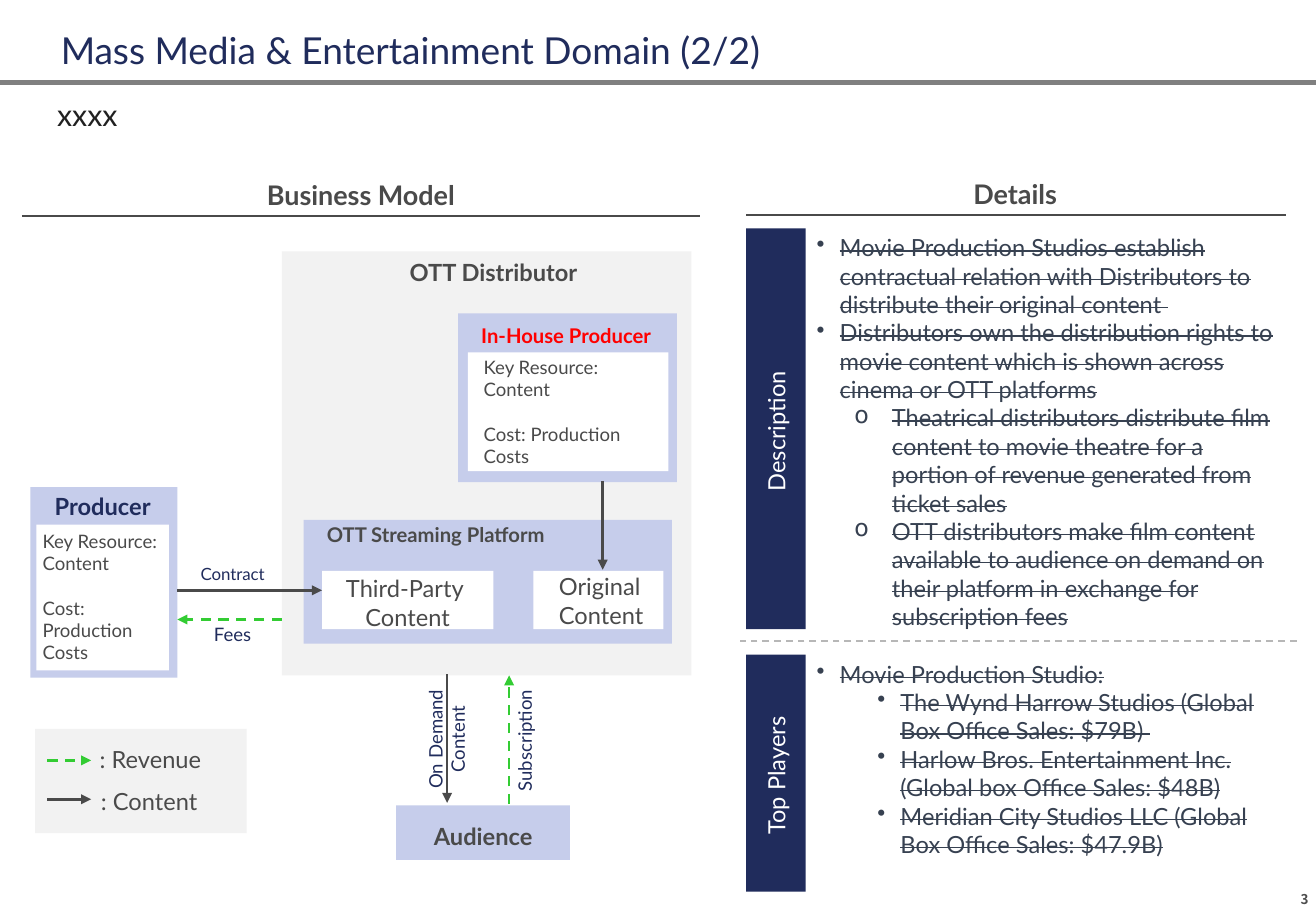
from dataclasses import dataclass

from lxml import etree
from pptx import Presentation
from pptx.dml.color import RGBColor
from pptx.enum.dml import MSO_LINE
from pptx.enum.shapes import MSO_CONNECTOR, MSO_SHAPE
from pptx.enum.text import MSO_ANCHOR, MSO_AUTO_SIZE, PP_ALIGN
from pptx.oxml.ns import qn
from pptx.util import Inches, Pt

RECTANGLE = MSO_SHAPE.RECTANGLE
STRAIGHT = MSO_CONNECTOR.STRAIGHT
DASH = MSO_LINE.DASH
TOP, MIDDLE, BOTTOM = MSO_ANCHOR.TOP, MSO_ANCHOR.MIDDLE, MSO_ANCHOR.BOTTOM
LEFT, CENTER, RIGHT = PP_ALIGN.LEFT, PP_ALIGN.CENTER, PP_ALIGN.RIGHT
NO_FIT = MSO_AUTO_SIZE.NONE

COLORS = {
    "navy": "202C5C", "lavender": "C6CDEB", "mist": "F2F2F2", "white": "FFFFFF",
    "ink": "4A4A4A", "slate": "374151", "black": "212121", "red": "FF0000",
    "green": "33CC33", "rule": "808080", "divider": "B7B7B7", "number": "4D4D4D",
}
FONT = "Lato"
TIGHT = (0.04, 0.04, 0.04, 0)
EVEN = (0.04, 0.04, 0.04, 0.04)
RESOURCES = ("Key Resource: Content", "Cost: Production Costs")


@dataclass(frozen=True)
class Block:
    left: float
    top: float
    width: float
    height: float
    lines: tuple[str, ...] = ()
    size: float = 14
    color: str = "ink"
    bold: bool = False
    fill: str = ""
    align: PP_ALIGN = LEFT
    anchor: MSO_ANCHOR = TOP
    insets: tuple[float, ...] = TIGHT
    wrap: bool = True
    font: str = FONT
    gap: float = 0
    spacing: float = 1.0
    rotation: float = 0
    vertical: bool = False


@dataclass(frozen=True)
class Line:
    start: tuple[float, float]
    end: tuple[float, float]
    color: str = "ink"
    width: float = 1.5
    dashed: bool = False
    arrow: bool = True


@dataclass(frozen=True)
class Bullet:
    text: str
    mark: str = "•"
    level: int = 0
    margin: float = 0.19
    hanging: float = 0.19


def apply(target, values: dict) -> None:
    for name, value in values.items():
        setattr(target, name, value)


def rgb(name: str) -> RGBColor:
    return RGBColor.from_string(COLORS[name])


def add_span(para, text: str, block: Block):
    span = para.add_run()
    span.text = text
    apply(span.font, {"name": block.font, "size": Pt(block.size), "bold": block.bold})
    span.font.color.rgb = rgb(block.color)
    return span


def set_frame(frame, block: Block) -> None:
    margins = dict(zip(("margin_left", "margin_top", "margin_right", "margin_bottom"),
                       map(Inches, block.insets)))
    apply(frame, {"word_wrap": block.wrap, "auto_size": NO_FIT,
                  "vertical_anchor": block.anchor, **margins})


def fill_text(frame, block: Block) -> None:
    set_frame(frame, block)
    for index, text in enumerate(block.lines):
        para = frame.add_paragraph() if index else frame.paragraphs[0]
        apply(para, {"alignment": block.align, "line_spacing": block.spacing,
                     "space_before": Pt(block.gap if index else 0)})
        add_span(para, text, block)


def draw_block(page, block: Block):
    place = [Inches(value) for value in (block.left, block.top, block.width, block.height)]
    if block.fill:
        box = page.shapes.add_shape(RECTANGLE, *place)
        box.shadow.inherit = False
        box.fill.solid()
        box.fill.fore_color.rgb = rgb(block.fill)
        box.line.fill.background()
    else:
        box = page.shapes.add_textbox(*place)
    box.rotation = block.rotation
    fill_text(box.text_frame, block)
    if block.vertical:
        box.text_frame._txBody.bodyPr.set("vert", "vert270")
    return box


def draw_line(page, line: Line) -> None:
    points = [Inches(value) for value in line.start + line.end]
    connector = page.shapes.add_connector(STRAIGHT, *points)
    connector.line.width = Pt(line.width)
    connector.line.color.rgb = rgb(line.color)
    if line.dashed:
        connector.line.dash_style = DASH
    if line.arrow:
        outline = connector.line._get_or_add_ln()
        etree.SubElement(outline, qn("a:tailEnd"), type="triangle")
    etree.SubElement(connector._element.spPr, qn("a:effectLst"))


def draw_bullets(page, block: Block, bullets: list[Bullet]) -> None:
    frame = draw_block(page, block).text_frame
    for index, bullet in enumerate(bullets):
        para = frame.add_paragraph() if index else frame.paragraphs[0]
        para.level = bullet.level
        properties = para._p.get_or_add_pPr()
        properties.set("marL", str(Inches(bullet.margin)))
        properties.set("indent", str(-Inches(bullet.hanging)))
        etree.SubElement(properties, qn("a:buChar"), char=bullet.mark)
        span = add_span(para, bullet.text, block)
        span.font._element.set("strike", "sngStrike")


PANELS = [
    Block(2.32, 2.07, 3.37, 3.49, fill="mist"),
    Block(3.77, 2.58, 1.8, 1.39, fill="lavender"),
    Block(3.85, 2.9, 1.65, 0.98, fill="white"),
    Block(3.26, 6.63, 1.43, 0.45, fill="lavender"),
    Block(0.25, 4.01, 1.21, 1.57, fill="lavender"),
    Block(0.3, 4.32, 1.09, 1.2, fill="white"),
    Block(2.5, 4.28, 3.03, 1.02, fill="lavender"),
    Block(2.65, 4.7, 1.41, 0.48, ("Third-Party ", "Content"), fill="white",
          align=CENTER, anchor=MIDDLE, wrap=False),
    Block(4.39, 4.7, 1.07, 0.48, fill="white"),
    Block(0.29, 6, 1.74, 0.86, fill="mist"),
]
LINES = [
    Line((0, 0.68), (10.83, 0.68), "rule", 3, arrow=False),
    Line((0.18, 1.78), (5.76, 1.78), width=1, arrow=False),
    Line((6.14, 1.77), (10.58, 1.77), width=1, arrow=False),
    Line((10.67, 5.28), (6.09, 5.28), "divider", 1, dashed=True, arrow=False),
    Line((3.68, 5.55), (3.68, 6.61)),
    Line((4.19, 6.62), (4.19, 5.56), "green", dashed=True),
    Line((1.46, 4.86), (2.65, 4.86)),
    Line((2.32, 5.1), (1.46, 5.1), "green", dashed=True),
    Line((4.96, 3.96), (4.96, 4.69)),
    Line((0.39, 6.26), (0.75, 6.26), "green", dashed=True),
    Line((0.39, 6.58), (0.75, 6.58)),
]
LABELS = [
    Block(0.47, 0.75, 10.1, 0.34, ("xxxx",), 18, "black", insets=(0, 0.04, 0, 0)),
    Block(2.09, 1.43, 1.76, 0.35, ("Business Model",), 16, bold=True,
          align=CENTER, anchor=BOTTOM, insets=EVEN, wrap=False),
    Block(7.97, 1.44, 0.77, 0.33, ("Details",), 16, bold=True,
          align=CENTER, anchor=BOTTOM, insets=EVEN, wrap=False),
    Block(3.33, 2.08, 1.51, 0.28, ("OTT Distributor",), bold=True),
    Block(3.92, 2.62, 1.55, 0.24, ("In-House Producer",), 12, "red", True),
    Block(3.94, 2.89, 1.43, 0.97, RESOURCES, 11, gap=13.2),
    Block(0.29, 4.01, 1.11, 0.28, ("Producer",), 14, "navy", True, align=CENTER),
    Block(0.31, 4.32, 1.05, 1.15, RESOURCES, 11, gap=13.2),
    Block(2.65, 4.26, 2.84, 0.43, ("OTT Streaming Platform",), 12, bold=True),
    Block(4.56, 4.67, 1.07, 0.5, ("Original Content",)),
    Block(3.53, 6.73, 1.11, 0.28, ("Audience",), bold=True),
    Block(1.61, 4.6, 0.72, 0.21, ("Contract",), 10, "navy"),
    Block(1.72, 5.09, 0.39, 0.22, ("Fees",), 11, "navy"),
    Block(3.82, 5.97, 0.95, 0.22, ("Subscription",), 11, "navy", rotation=270),
    Block(3.18, 5.88, 0.95, 0.41, ("On Demand Content",), 11, "navy", align=CENTER, rotation=270),
    Block(0.78, 6.09, 1.05, 0.28, (": Revenue",)),
    Block(0.79, 6.44, 1.05, 0.28, (": Content",)),
    Block(10.43, 7.31, 0.42, 0.2, ("3",), 8, "number", True, align=RIGHT, anchor=BOTTOM,
          insets=(0.08, 0.04, 0.08, 0.04), font="Noto Sans CJK JP", spacing=0.9),
]
DESCRIPTION = [
    Bullet("Movie Production Studios establish contractual relation with Distributors "
           "to distribute their original content "),
    Bullet("Distributors own the distribution rights to movie content which is shown "
           "across cinema or OTT platforms"),
    Bullet("Theatrical distributors distribute film content to movie theatre for a portion "
           "of revenue generated from ticket sales", "o", 1, 0.62, 0.31),
    Bullet("OTT distributors make film content available to audience on demand on their "
           "platform in exchange for subscription fees", "o", 1, 0.62, 0.31),
]
STUDIOS = [
    "The Wynd Harrow Studios (Global Box Office Sales: $79B) ",
    "Harlow Bros. Entertainment Inc. (Global box Office Sales: $48B)",
    "Meridian City Studios LLC (Global Box Office Sales: $47.9B)",
]
PLAYERS = [Bullet("Movie Production Studio:")]
PLAYERS += [Bullet(studio, level=1, margin=0.69) for studio in STUDIOS]
SECTIONS = [("Description", 1.88, 3.3, DESCRIPTION), ("Top Players", 5.39, 1.95, PLAYERS)]
TITLE = Block(0.5, 0.17, 9.83, 0.43, ("Mass Media & Entertainment Domain (2/2)",), 22, "navy",
              anchor=BOTTOM, insets=(0, 0, 0, 0), spacing=0.9)

deck = Presentation()
apply(deck, {"slide_width": Inches(10.83), "slide_height": Inches(7.5)})
page = deck.slides.add_slide(deck.slide_layouts[5])
title = page.shapes.title
apply(title, {name: Inches(getattr(TITLE, name)) for name in ("left", "top", "width", "height")})
fill_text(title.text_frame, TITLE)

for panel in PANELS:
    draw_block(page, panel)
for line in LINES:
    draw_line(page, line)
for label in LABELS:
    draw_block(page, label)
for heading, top, height, bullets in SECTIONS:
    draw_block(page, Block(6.14, top, 0.49, height, (heading,), color="white", fill="navy",
                           align=CENTER, anchor=MIDDLE, wrap=False, vertical=True))
    draw_bullets(page, Block(6.68, top, 3.88, height, color="slate"), bullets)

deck.save("out.pptx")
